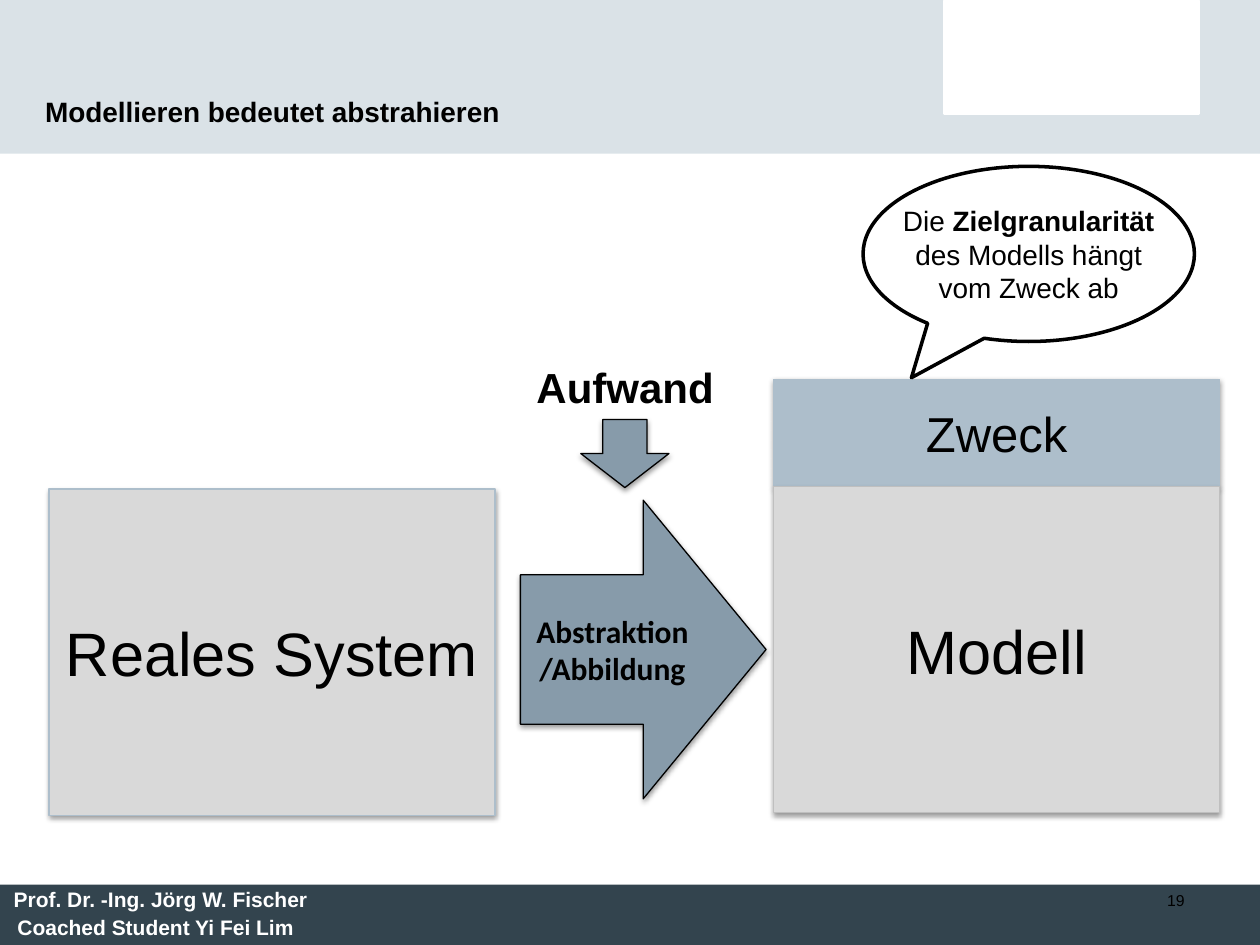
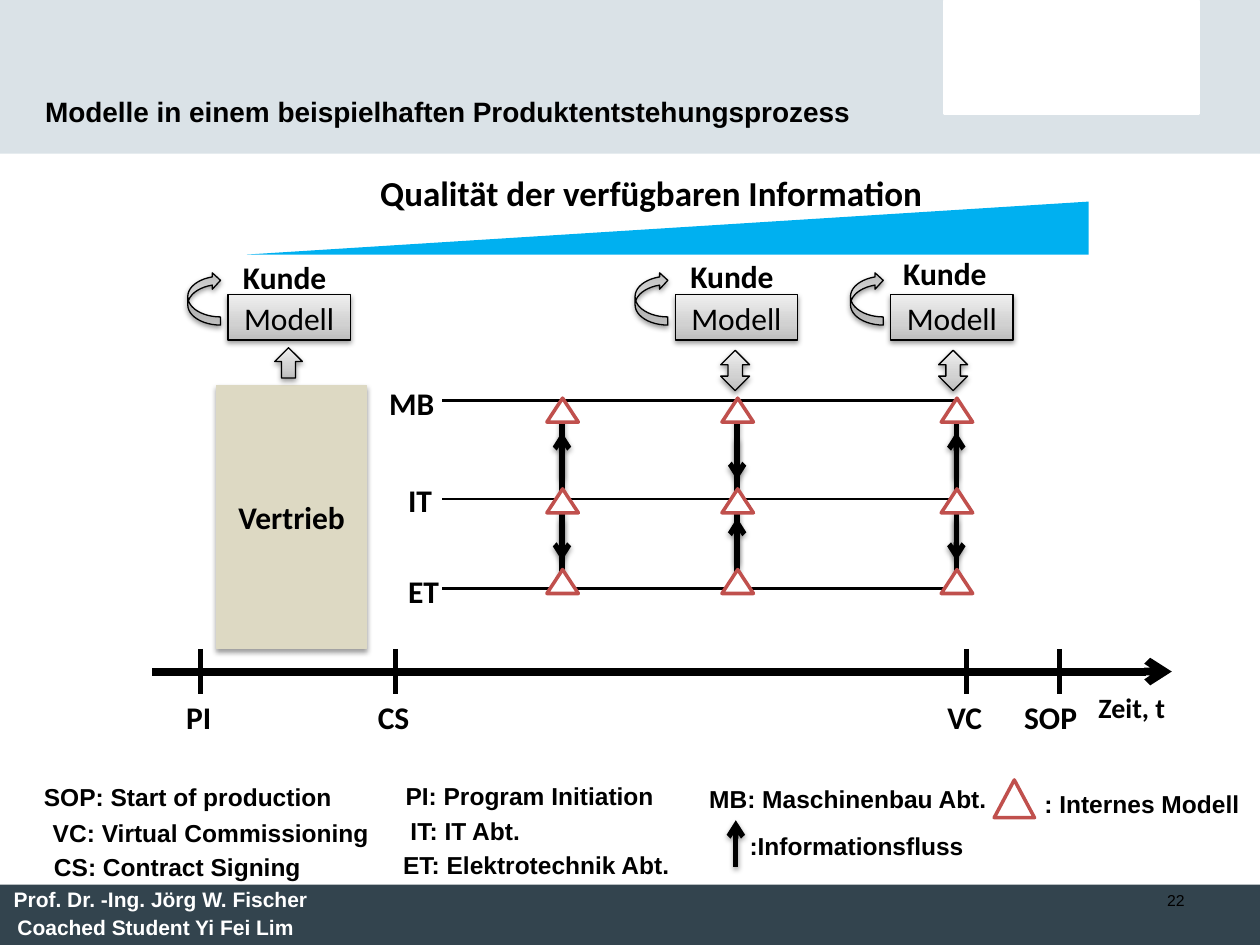
"""Build two slides on modelling: abstraction, and models in a product creation process."""
import copy

import lxml.etree
import pptx
import pptx.dml.color
import pptx.enum.shapes
import pptx.enum.text
import pptx.oxml
import pptx.oxml.ns
import pptx.util

PX = 9144
SHAPES = pptx.enum.shapes.MSO_SHAPE
ALIGN = pptx.enum.text.PP_ALIGN
ANCHOR = pptx.enum.text.MSO_ANCHOR
qn = pptx.oxml.ns.qn


class Theme:
    black, white = "000000", "FFFFFF"
    band, footer = "DAE2E7", "33444E"
    purpose, arrow = "ADBECB", "879BAA"
    panel, panel_edge = "D9D9D9", "BFBFBF"
    sales, wedge, marker = "DDD9C3", "00B0F0", "C0504D"
    gradient = [(0, "BDBDBD"), (0.35, "D1D1D1"), (1, "EEEEEE")]
    text = {
        name: {"name": font, "size": pptx.util.Pt(size), "bold": bold}
        for name, font, size, bold in [
            ("title", "Arial", 16, True),
            ("footer", "Arial", 12, True),
            ("number", "Arial", 9, False),
            ("effort", "Arial", 24, True),
            ("purpose", "Arial", 28, False),
            ("panel", "Arial", 35, False),
            ("callout", "Arial", 16, False),
            ("legend", "Arial", 14, True),
            ("heading", "Calibri", 20, True),
            ("label", "Calibri", 18, True),
            ("model", "Calibri", 18, False),
            ("time", "Calibri", 16, True),
        ]
    }


shadow = pptx.oxml.parse_xml(
    f'<a:outerShdw {pptx.oxml.ns.nsdecls("a")} blurRad="39370" dist="20320" dir="5400000"'
    ' rotWithShape="0"><a:srgbClr val="000000"><a:alpha val="38000"/></a:srgbClr></a:outerShdw>'
)
shadowed = []


def add_item(slide, kind, box, text="", style="label", color=Theme.black, fill=None,
             line=None, width=0.75, align=None, anchor=None):
    """Add a preset shape, or a text box when kind is None; box is in px."""
    box = [value * PX for value in box]
    if kind is None:
        shape = slide.shapes.add_textbox(*box)
    else:
        shape = slide.shapes.add_shape(kind, *box)
        shape.shadow.inherit = False
        if fill == Theme.gradient:
            shape.fill.gradient()
            shape.fill.gradient_angle = 90
            stops = shape.element.spPr.find(".//" + qn("a:gsLst"))
            stops.append(copy.deepcopy(stops[0]))
            for stop, (position, rgb) in zip(shape.fill.gradient_stops, fill):
                stop.position = position
                stop.color.rgb = pptx.dml.color.RGBColor.from_string(rgb)
        else:
            shape.fill.solid()
            shape.fill.fore_color.rgb = pptx.dml.color.RGBColor.from_string(fill)
        if line:
            shape.line.color.rgb = pptx.dml.color.RGBColor.from_string(line)
            shape.line.width = pptx.util.Pt(width)
        else:
            shape.line.fill.background()
    if text:
        frame = shape.text_frame
        frame.word_wrap = True
        frame.vertical_anchor = anchor or (ANCHOR.MIDDLE if kind else ANCHOR.TOP)
        paragraph = frame.paragraphs[0]
        paragraph.alignment = align or (ALIGN.CENTER if kind else ALIGN.LEFT)
        for part in [text] if isinstance(text, str) else text:
            if part == "\n":
                paragraph.add_line_break()
                continue
            run = paragraph.add_run()
            run.text = part
            for name, value in Theme.text[style].items():
                setattr(run.font, name, value)
            run.font.color.rgb = pptx.dml.color.RGBColor.from_string(color)
    return shape


def add_line(slide, start, end, width, arrow=False):
    """Draw a black line between two px points, optionally with an arrowhead at its end."""
    points = [value * PX for value in (*start, *end)]
    connector = slide.shapes.add_connector(pptx.enum.shapes.MSO_CONNECTOR.STRAIGHT, *points)
    connector.line.color.rgb = pptx.dml.color.RGBColor.from_string(Theme.black)
    connector.line.width = pptx.util.Pt(width)
    properties = connector.element.spPr
    if arrow:
        lxml.etree.SubElement(properties.find(qn("a:ln")), qn("a:tailEnd"), type="arrow")
    lxml.etree.SubElement(properties, qn("a:effectLst"))
    return connector


presentation = pptx.Presentation()
presentation.slide_width = 1000 * PX
presentation.slide_height = 750 * PX

slides = []
for title, number in [
    ("Modellieren bedeutet abstrahieren", "19"),
    ("Modelle in einem beispielhaften Produktentstehungsprozess", "22"),
]:
    slide = presentation.slides.add_slide(presentation.slide_layouts[6])
    add_item(slide, SHAPES.RECTANGLE, (0, 0, 1000, 122), fill=Theme.band)
    add_item(slide, SHAPES.RECTANGLE, (750, 1, 201, 89), fill=Theme.white, line=Theme.white, width=2)
    add_item(slide, SHAPES.RECTANGLE, (0, 702, 1000, 48), fill=Theme.footer)
    add_item(slide, None, (1, 699, 268, 30), "Prof. Dr. -Ing. Jörg W. Fischer", "footer", Theme.white)
    add_item(slide, None, (4, 721, 245, 30), "Coached Student Yi Fei Lim", "footer", Theme.white)
    add_item(slide, None, (26, 44, 666, 63), title, "title", anchor=ANCHOR.BOTTOM)
    add_item(slide, None, (717, 702, 233, 48), number, "number", align=ALIGN.RIGHT)
    slides.append(slide)

abstraction, process = slides

for kind, box, text, style, fill, line in [
    (SHAPES.RECTANGLE, (614, 301, 354, 85), "Zweck", "purpose", Theme.purpose, Theme.purpose),
    (SHAPES.DOWN_ARROW, (461, 333, 70, 54), "", "label", Theme.arrow, Theme.black),
    (SHAPES.RECTANGLE, (39, 388, 354, 259), "Reales System", "panel", Theme.panel, Theme.purpose),
    (SHAPES.RIGHT_ARROW, (413, 397, 195, 237), "Abstraktion/Abbildung", "label", Theme.arrow, Theme.black),
    (SHAPES.RECTANGLE, (614, 386, 354, 259), "Modell", "panel", Theme.panel, Theme.panel_edge),
]:
    shadowed.append(add_item(abstraction, kind, box, text, style, fill=fill, line=line))
add_item(abstraction, None, (416, 282, 174, 50), "Aufwand", "effort")

callout = add_item(
    abstraction, SHAPES.OVAL_CALLOUT, (685, 132, 263, 139),
    ["Die ", "Zielgranularität", "\n", "des Modells hängt", "\n", "vom Zweck ab"],
    "callout", fill=Theme.white, line=Theme.black, width=2,
)
callout.adjustments[0] = -0.354
callout.adjustments[1] = 0.707
callout.text_frame.word_wrap = False
paragraph = callout.text_frame.paragraphs[0]
for line_break in paragraph._p.findall(qn("a:br")):
    line_break.append(copy.deepcopy(paragraph.runs[0]._r.rPr))
paragraph.runs[1].font.bold = True

for text, left, top, width in [
    ("SOP: Start of production", 25, 616, 257),
    ("VC: Virtual Commissioning", 32, 644, 282),
    ("CS: Contract Signing", 33, 671, 236),
    ("PI: Program Initiation", 312, 615, 221),
    ("IT: IT Abt.", 316, 643, 113),
    ("ET: Elektrotechnik Abt.", 310, 670, 242),
    ("MB: Maschinenbau Abt.", 553, 617, 244),
    (": Internes Modell", 819, 621, 180),
    (":Informationsfluss", 585, 655, 195),
]:
    add_item(process, None, (left, top, width, 34), text, "legend")

add_line(process, (121, 533), (930, 533), 4.5, arrow=True)
for milestone, tick, left in [("PI", 159, 138), ("CS", 314, 290), ("VC", 767, 742), ("SOP", 841, 803)]:
    add_line(process, (tick, 515), (tick, 551), 3)
    add_item(process, None, (left, 549, 66, 38), milestone)
add_item(process, None, (862, 543, 90, 31), "Zeit, t", "time")

for department, left, top, level in [("MB", 299, 300, 318), ("IT", 314, 377, 396), ("ET", 314, 449, 467)]:
    add_line(process, (351, level), (759, level), 1.5)
    add_item(process, None, (left, top, 59, 34), department)

shadowed.append(add_item(process, SHAPES.RECTANGLE, (172, 306, 119, 209), "Vertrieb",
                         fill=Theme.sales, line=Theme.sales))
wedge = add_item(process, SHAPES.RIGHT_TRIANGLE, (196, 160, 668, 42), fill=Theme.wedge)
wedge.element.spPr.xfrm.set("flipH", "1")
add_item(process, None, (272, 131, 490, 41), "Qualität der verfügbaren Information",
         "heading", align=ALIGN.CENTER)

for left, customer_left, customer_top, link, link_box in [
    (181, 183, 200, SHAPES.UP_ARROW, (218, 276, 22, 24)),
    (536, 538, 199, SHAPES.UP_DOWN_ARROW, (572, 278, 23, 32)),
    (707, 707, 197, SHAPES.UP_DOWN_ARROW, (745, 278, 23, 32)),
]:
    add_item(process, None, (customer_left, customer_top, 88, 38), "Kunde")
    for kind, box, text in [
        (SHAPES.RECTANGLE, (left, 234, 97, 36), "Modell"),
        (link, link_box, ""),
        (SHAPES.CURVED_LEFT_ARROW, (left - 32, 216, 26, 42), ""),
    ]:
        shape = add_item(process, kind, box, text, "model", fill=Theme.gradient, line=Theme.black)
        shadowed.append(shape)
    shape.rotation = 180

outward = [(379, 343), (412, 445)]
inward = [(348, 381), (447, 411)]
for center, flows in [(446, outward), (585, inward), (759, outward)]:
    for start, end in [(466, 317), *flows]:
        shadowed.append(add_line(process, (center, start), (center, end), 3, arrow=True))
    for top in (316, 388, 452):
        add_item(process, SHAPES.ISOSCELES_TRIANGLE, (center - 12, top, 25, 19),
                 fill=Theme.white, line=Theme.marker, width=2)

add_item(process, SHAPES.ISOSCELES_TRIANGLE, (789, 619, 32, 30),
         fill=Theme.white, line=Theme.marker, width=2)
shadowed.append(add_line(process, (584, 688), (584, 651), 3, arrow=True))

for shape in shadowed:
    shape.element.spPr.find(qn("a:effectLst")).append(copy.deepcopy(shadow))

presentation.save("out.pptx")
